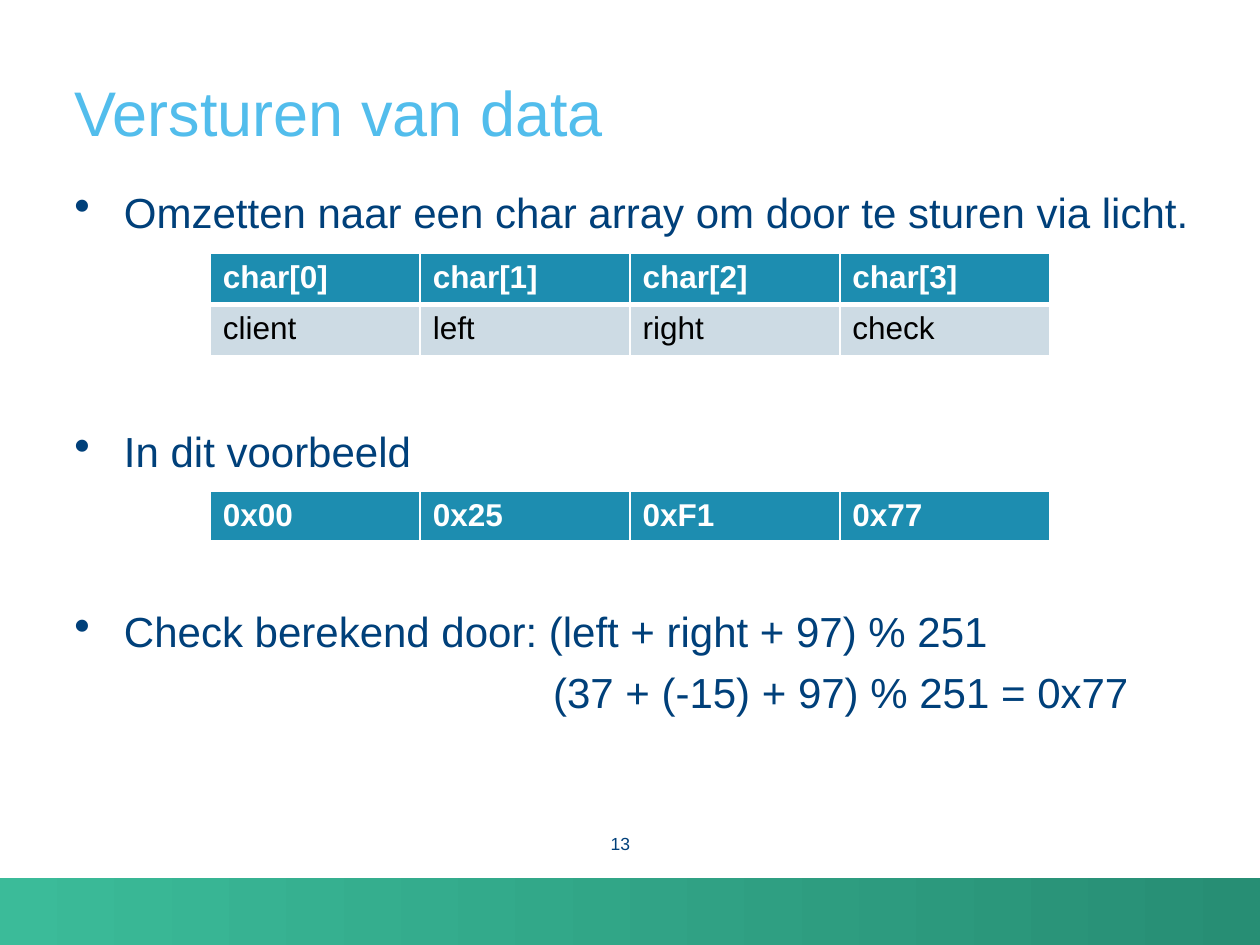
from lxml.etree import SubElement
from pptx import Presentation
from pptx.dml.color import RGBColor
from pptx.enum.shapes import MSO_SHAPE
from pptx.enum.text import MSO_ANCHOR, PP_ALIGN
from pptx.oxml.ns import qn
from pptx.util import Cm, Pt

THEME = {
    "font": "Arial",
    "title": {"size": 36, "color": "52BDEC", "bold": False},
    "body": {"size": 24, "color": "00407A", "bold": False},
    "number": {"size": 10, "color": "00407A", "bold": False},
    "header": {"size": 18, "color": "FFFFFF", "bold": True},
    "cell": {"size": 18, "color": "000000", "bold": False},
    "fills": {"header": "1D8DB0", "cell": "CDDBE4"},
    "border": "FFFFFF",
    "band": ["3BBB99", "278E74"],
}


def write(para, text, style):
    """Add a span of text in one of the theme's styles."""
    span = para.add_run()
    span.text = text
    values = THEME[style]
    formats = {"name": THEME["font"], "size": Pt(values["size"]), "bold": values["bold"]}
    for name, value in formats.items():
        setattr(span.font, name, value)
    span.font.color.rgb = RGBColor.from_string(values["color"])


def add_box(page, left, top, width, height, anchor=MSO_ANCHOR.TOP):
    """Add a wrapping text box without margins."""
    box = page.shapes.add_textbox(Cm(left), Cm(top), Cm(width), Cm(height))
    formats = {"word_wrap": True, "vertical_anchor": anchor, "margin_left": 0,
               "margin_top": 0, "margin_right": 0, "margin_bottom": 0}
    for name, value in formats.items():
        setattr(box.text_frame, name, value)
    return box.text_frame


deck = Presentation()
deck.slide_width, deck.slide_height = Cm(25.4), Cm(19.05)
page = deck.slides.add_slide(deck.slide_layouts[6])

# Gradient band along the bottom
band = page.shapes.add_shape(MSO_SHAPE.RECTANGLE, 0, Cm(17.7), deck.slide_width, Cm(1.52))
band.shadow.inherit = False
band.line.fill.background()
band.fill.gradient()
band.fill.gradient_angle = 0
for stop, color in zip(band.fill.gradient_stops, THEME["band"]):
    stop.color.rgb = RGBColor.from_string(color)

# Title
title = add_box(page, 1.5, 0.51, 23.14, 2.49, MSO_ANCHOR.BOTTOM)
write(title.paragraphs[0], "Versturen van data", "title")

# Body: text, space before in points, left indent in cm, bulleted
body = add_box(page, 1.5, 3.76, 23.14, 12.29)
lines = [
    ("Omzetten naar een char array om door te sturen via licht.", 0, 1, True),
    ("In dit voorbeeld", 108, 1, True),
    ("Check berekend door: (left + right + 97) % 251", 74, 1, True),
    ("(37 + (-15) + 97) % 251 = 0x77", 6, 9.65, False),
]
for index, (text, space, indent, bulleted) in enumerate(lines):
    para = body.add_paragraph() if index else body.paragraphs[0]
    para.space_before = Pt(space)
    properties = para._p.get_or_add_pPr()
    properties.set("marL", str(Cm(indent)))
    if bulleted:
        properties.set("indent", str(-Cm(indent)))
        SubElement(properties, qn("a:buSzPct"), val="110000")
        SubElement(properties, qn("a:buChar"), char="•")
    write(para, text, "body")

# Page number
number = add_box(page, 10.11, 16.79, 2.59, 0.79)
number.paragraphs[0].alignment = PP_ALIGN.RIGHT
write(number.paragraphs[0], "13", "number")

# Tables: top in cm and rows, the first row being the header
tables = [
    (5.11, [["char[0]", "char[1]", "char[2]", "char[3]"],
            ["client", "left", "right", "check"]]),
    (9.91, [["0x00", "0x25", "0xF1", "0x77"]]),
]
column_width, row_height = 4.23, 1.03
for top, rows in tables:
    columns = len(rows[0])
    table = page.shapes.add_table(len(rows), columns, Cm(4.24), Cm(top),
                                  Cm(column_width * columns),
                                  Cm(row_height * len(rows))).table
    for row_index, row in enumerate(rows):
        table.rows[row_index].height = Cm(row_height)
        style = "cell" if row_index else "header"
        # The rule below the header is the thick one
        borders = {"lnL": 1, "lnR": 1, "lnT": 3 if row_index else 1,
                   "lnB": 1 if row_index else 3}
        for column_index, text in enumerate(row):
            table.columns[column_index].width = Cm(column_width)
            cell = table.cell(row_index, column_index)
            properties = cell._tc.get_or_add_tcPr()
            for side, width in borders.items():
                border = SubElement(properties, qn(f"a:{side}"), w=str(Pt(width)))
                solid = SubElement(border, qn("a:solidFill"))
                SubElement(solid, qn("a:srgbClr"), val=THEME["border"])
            cell.fill.solid()
            cell.fill.fore_color.rgb = RGBColor.from_string(THEME["fills"][style])
            write(cell.text_frame.paragraphs[0], text, style)

deck.save("out.pptx")
